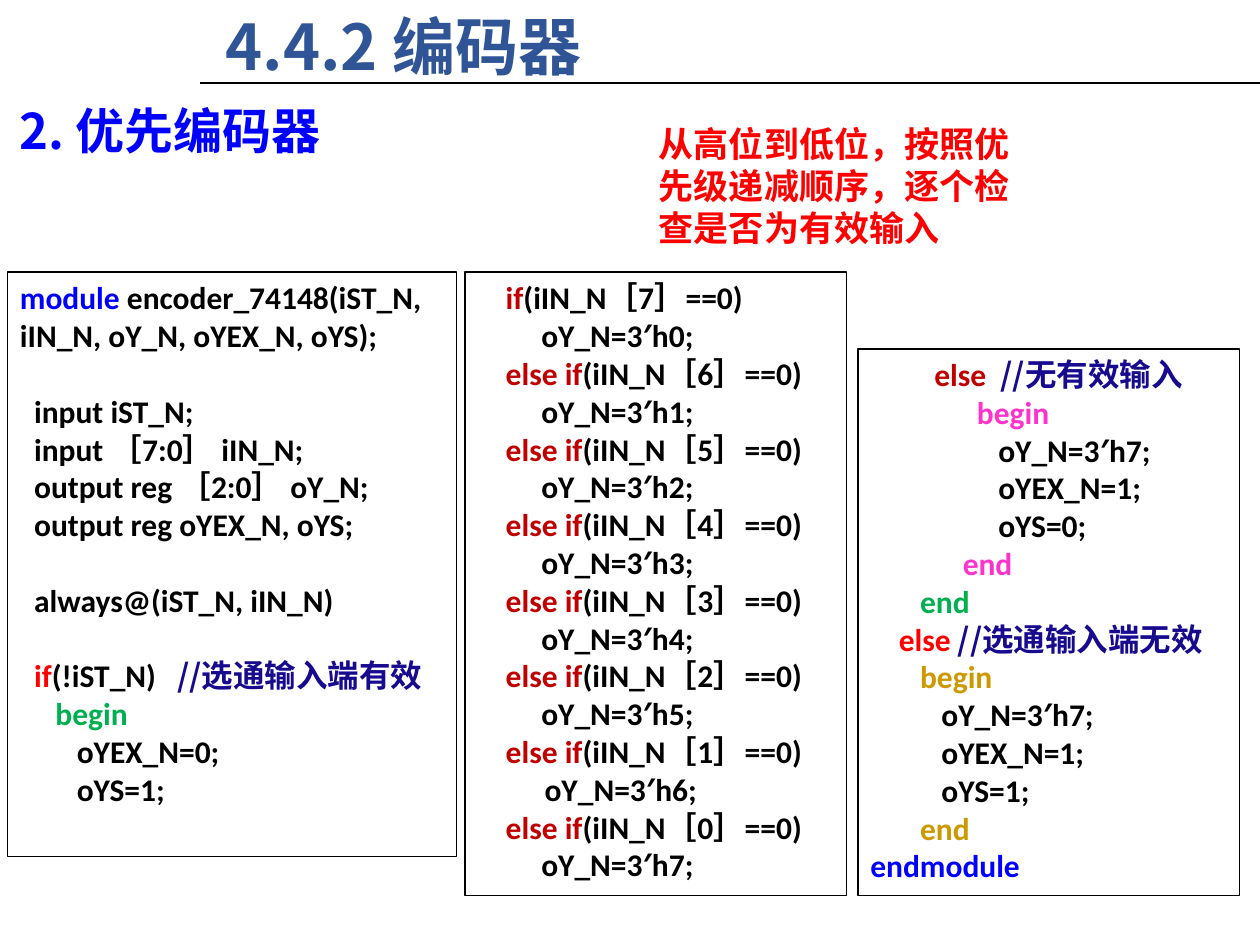
from dataclasses import dataclass
from lxml.etree import SubElement
from pptx import Presentation
from pptx.dml.color import RGBColor
from pptx.enum.shapes import MSO_CONNECTOR, MSO_SHAPE
from pptx.enum.text import MSO_ANCHOR, PP_ALIGN
from pptx.oxml.ns import qn
from pptx.util import Pt

HUES = {
    "black": "000000", "blue": "0000FF", "red": "FF0000", "dark": "C00000",
    "note": "170A8E", "green": "00B050", "pink": "FF33CC", "gold": "CC9900",
    "title": "2F5597",
}
CODE, HAN = "Calibri", "Noto Sans CJK SC"
SIZE = 18
PITCH = 1.2  # line height as a share of the font size


@dataclass
class Run:
    text: str
    hue: str = "black"
    font: str = CODE


@dataclass
class Line:
    runs: list[Run]
    gap: bool = False  # one line of space before


@dataclass
class Panel:
    left: float
    top: float
    width: float
    height: float
    lines: list[Line]


def row(text: str, hue: str = "black", gap: bool = False) -> Line:
    return Line([Run(text, hue)], gap)


def note(text: str) -> Run:
    return Run(text, "note", HAN)


def fill_text(frame, lines: list[Line], size: float) -> None:
    """Write lines run by run with an even line height."""
    frame.word_wrap = True
    frame.margin_left = frame.margin_right = Pt(7.2)
    frame.margin_top = frame.margin_bottom = Pt(3.6)
    for i, line in enumerate(lines):
        para = frame.paragraphs[0] if i == 0 else frame.add_paragraph()
        para.alignment = PP_ALIGN.LEFT
        para.line_spacing = Pt(size * PITCH)
        para.space_before = Pt(size * PITCH if line.gap else 0)
        for part in line.runs:
            run = para.add_run()
            run.text = part.text
            font = run.font
            font.size, font.bold, font.name = Pt(size), True, part.font
            font.color.rgb = RGBColor.from_string(HUES[part.hue])
            SubElement(font._element, qn("a:ea"), typeface=HAN)


def add_label(slide, text: str, hue: str, size: float, box: tuple) -> None:
    shape = slide.shapes.add_textbox(*map(Pt, box))
    fill_text(shape.text_frame, [Line([Run(text, hue, HAN)])], size)


def add_panel(slide, panel: Panel) -> None:
    shape = slide.shapes.add_shape(
        MSO_SHAPE.RECTANGLE, Pt(panel.left), Pt(panel.top),
        Pt(panel.width), Pt(panel.height))
    shape.shadow.inherit = False
    shape.fill.background()
    shape.line.color.rgb = RGBColor.from_string(HUES["black"])
    shape.line.width = Pt(0.75)
    shape.text_frame.vertical_anchor = MSO_ANCHOR.TOP
    fill_text(shape.text_frame, panel.lines, SIZE)


def check_lines() -> list[Line]:
    """Test each input bit from high to low."""
    lines = []
    for step, bit in enumerate(range(7, -1, -1)):
        word = "else if" if step else "if"
        lead = "　     " if step == 6 else " " * 9
        lines += [
            Line([Run("    " + word, "dark"), Run(f"(iIN_N［{bit}］==0)")]),
            row(f"{lead}oY_N=3′h{step};"),
        ]
    return lines


HEAD = [
    Line([Run("module", "blue"),
          Run(" encoder_74148(iST_N, iIN_N, oY_N, oYEX_N, oYS);")]),
    row("  input iST_N;", gap=True),
    row("  input ［7:0］ iIN_N;"),
    row("  output reg ［2:0］ oY_N;"),
    row("  output reg oYEX_N, oYS;"),
    row("  always@(iST_N, iIN_N)", gap=True),
    Line([Run("  if", "red"), Run("(!iST_N)   "), note("//选通输入端有效")], True),
    row("    begin".replace("    ", " " * 5), "green"),
    row(" " * 8 + "oYEX_N=0;"),
    row(" " * 8 + "oYS=1;"),
]
TAIL = [
    Line([Run(" " * 9 + "else  ", "dark"), note("//无有效输入")]),
    row(" " * 15 + "begin", "pink"),
    *[row(" " * 18 + code) for code in ("oY_N=3′h7;", "oYEX_N=1;", "oYS=0;")],
    row(" " * 13 + "end", "pink"),
    row(" " * 7 + "end", "green"),
    Line([Run("    else ", "red"), note("//选通输入端无效")]),
    row(" " * 7 + "begin", "gold"),
    *[row(" " * 10 + code) for code in ("oY_N=3′h7;", "oYEX_N=1;", "oYS=1;")],
    row(" " * 7 + "end", "gold"),
    row("endmodule", "blue"),
]
PANELS = [
    Panel(4.3, 155.5, 256.5, 334, HEAD),
    Panel(490.3, 199.4, 218.2, 312.5, TAIL),
    Panel(265.7, 155.5, 218.2, 356.4, check_lines()),
]


def main() -> None:
    deck = Presentation()
    deck.slide_width, deck.slide_height = Pt(720), Pt(540)
    slide = deck.slides.add_slide(deck.slide_layouts[5])

    # Title and the rule below it
    title = slide.shapes.title
    title.left, title.top, title.width, title.height = map(
        Pt, (121.7, 0.7, 368.6, 51.1))
    title.text_frame.vertical_anchor = MSO_ANCHOR.TOP
    fill_text(title.text_frame, [Line([Run("4.4.2 编码器", "title", HAN)])], 36)
    rule = slide.shapes.add_connector(
        MSO_CONNECTOR.STRAIGHT, Pt(114.5), Pt(47.5), Pt(720), Pt(47.5))
    rule.line.color.rgb = RGBColor.from_string(HUES["black"])
    rule.line.width = Pt(1.25)
    SubElement(rule._element.spPr, qn("a:effectLst"))

    # Section heading and remark
    add_label(slide, "2. 优先编码器", "blue", 28, (4.3, 54, 206, 41))
    add_label(slide, "从高位到低位，按照优先级递减顺序，逐个检查是否为有效输入",
              "red", 20, (369.4, 66.2, 222.5, 80))

    # Code panels
    for panel in PANELS:
        add_panel(slide, panel)
    deck.save("out.pptx")


if __name__ == "__main__":
    main()
